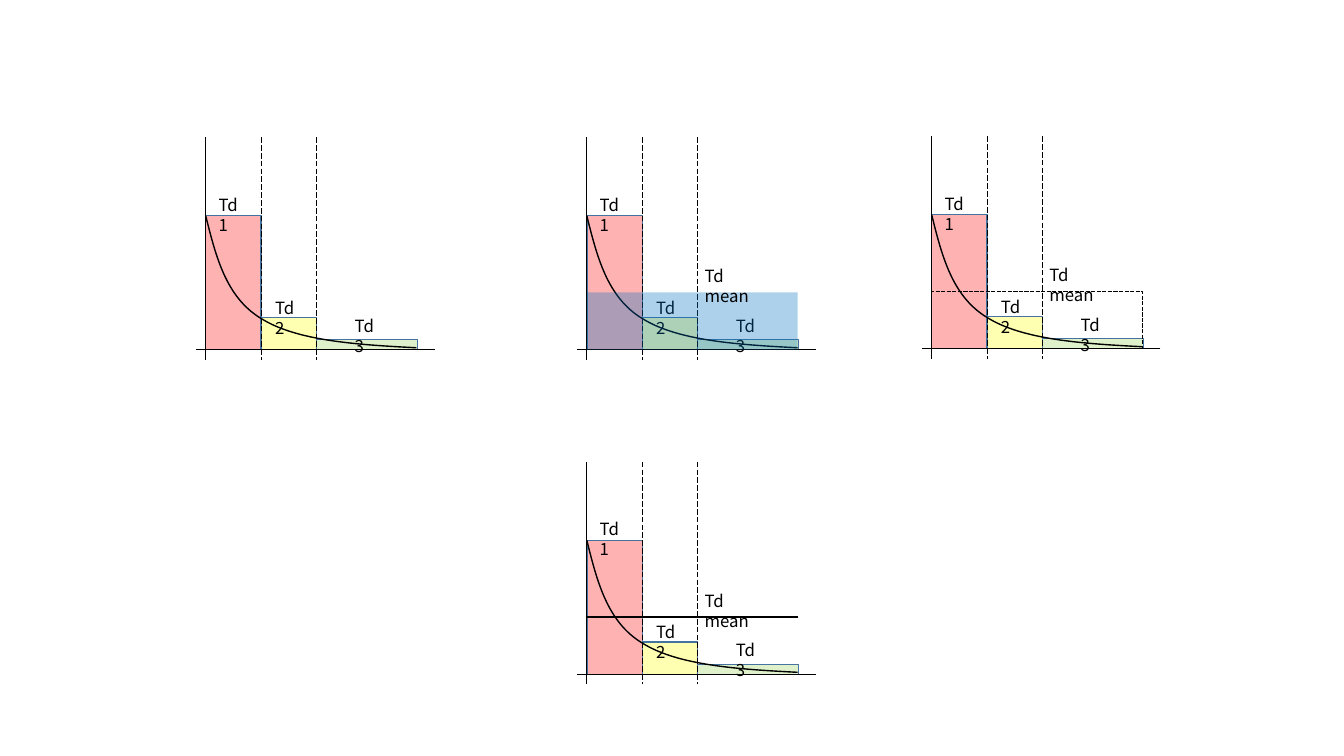
"""Draw four decay-curve panels with bars Td1 to Td3 and several views of their mean."""
from dataclasses import dataclass
from enum import Enum

from lxml import etree
from pptx import Presentation
from pptx.dml.color import RGBColor
from pptx.enum.dml import MSO_LINE
from pptx.enum.shapes import MSO_CONNECTOR, MSO_SHAPE
from pptx.enum.text import MSO_AUTO_SIZE
from pptx.oxml.ns import qn
from pptx.shapes.autoshape import Shape
from pptx.shapes.shapetree import GroupShapes
from pptx.util import Inches, Pt

RECTANGLE = MSO_SHAPE.RECTANGLE
STRAIGHT = MSO_CONNECTOR.STRAIGHT
LONG_DASH = MSO_LINE.LONG_DASH
SHORT_DASH = MSO_LINE.SQUARE_DOT
NO_AUTOFIT = MSO_AUTO_SIZE.NONE

BLACK = RGBColor(0x00, 0x00, 0x00)
WHITE = RGBColor(0xFF, 0xFF, 0xFF)
RED = RGBColor(0xFF, 0xB2, 0xB2)
YELLOW = RGBColor(0xFF, 0xFF, 0xB2)
GREEN = RGBColor(0xDE, 0xF1, 0xCA)
BLUE = RGBColor(0x00, 0x70, 0xC0)
BAR_EDGE = RGBColor(0x43, 0x73, 0x9E)

FONT = "Noto Sans CJK KR"
CURVE_WIDTH = 2.09
MEAN_HEIGHT = 0.57


class Mean(Enum):
    NONE = 0
    AREA = 1
    LINE = 2
    OUTLINE = 3


@dataclass(frozen=True)
class Panel:
    left: float
    base: float
    mean: Mean


@dataclass(frozen=True)
class Bar:
    start: float
    width: float
    height: float
    color: RGBColor


@dataclass(frozen=True)
class Label:
    text: str
    start: float
    rise: float
    width: float = 0.47


PANELS = (
    Panel(2.04, 3.47, Mean.NONE),
    Panel(5.82, 3.47, Mean.AREA),
    Panel(5.82, 6.69, Mean.LINE),
    Panel(9.24, 3.46, Mean.OUTLINE),
)
BARS = (
    Bar(0, 0.55, 1.33, RED),
    Bar(0.55, 0.55, 0.32, YELLOW),
    Bar(1.1, 1, 0.1, GREEN),
)
LABELS = (
    Label("Td1", 0.03, 1.59),
    Label("Td2", 0.59, 0.57),
    Label("Td3", 1.38, 0.39),
)
MEAN_LABEL = Label("Td mean", 1.07, 0.88, 0.86)
CURVE = ((0, 1.33), (0.1, 0.93), (0.2, 0.52), (0.55, 0.31),
         (0.9, 0.09), (1.49, 0.05), (CURVE_WIDTH, 0.02))


def add_box(shapes: GroupShapes, left: float, top: float, width: float, height: float,
            fill: RGBColor | None = None, alpha: int = 100) -> Shape:
    box = shapes.add_shape(RECTANGLE, Inches(left), Inches(top), Inches(width), Inches(height))
    box.shadow.inherit = False
    box.line.fill.background()
    if fill is None:
        box.fill.background()
        return box
    box.fill.solid()
    box.fill.fore_color.rgb = fill
    if alpha < 100:
        color = box._element.spPr.find(qn("a:solidFill")).find(qn("a:srgbClr"))
        etree.SubElement(color, qn("a:alpha"), val=str(alpha * 1000))
    return box


def set_line(shape: Shape, color: RGBColor, width: float, dash: MSO_LINE | None = None) -> None:
    shape.line.color.rgb = color
    shape.line.width = Pt(width)
    if dash is not None:
        shape.line.dash_style = dash


def add_line(shapes: GroupShapes, start: tuple[float, float], end: tuple[float, float],
             width: float = 0.5, dash: MSO_LINE | None = None) -> None:
    line = shapes.add_connector(STRAIGHT, *map(Inches, start), *map(Inches, end))
    set_line(line, BLACK, width, dash)
    etree.SubElement(line._element.spPr, qn("a:effectLst"))


def add_label(shapes: GroupShapes, panel: Panel, label: Label, *, size: float = 12,
              font: str = FONT, color: RGBColor = BLACK) -> None:
    box = shapes.add_textbox(Inches(panel.left + label.start), Inches(panel.base - label.rise),
                             Inches(label.width), Inches(0.3))
    frame = box.text_frame
    frame.word_wrap = True
    frame.auto_size = NO_AUTOFIT
    span = frame.paragraphs[0].add_run()
    span.text = label.text
    span.font.size = Pt(size)
    span.font.name = font
    span.font.color.rgb = color


def add_curve(shapes: GroupShapes, panel: Panel) -> None:
    points = [(Inches(panel.left + x), Inches(panel.base - y)) for x, y in CURVE]
    builder = shapes.build_freeform(*points[0])
    builder.add_line_segments(points[1:], close=False)
    curve = builder.convert_to_shape()
    curve.shadow.inherit = False
    curve.fill.background()
    set_line(curve, BLACK, 1)
    outline = next(curve._element.iter(qn("a:path")))
    segments = outline.findall(qn("a:lnTo"))
    for first in range(0, len(segments), 3):
        bend = etree.SubElement(outline, qn("a:cubicBezTo"))
        for segment in segments[first:first + 3]:
            bend.append(segment[0])
            outline.remove(segment)


def add_mean(shapes: GroupShapes, panel: Panel) -> None:
    if panel.mean is Mean.NONE:
        return
    top = panel.base - MEAN_HEIGHT
    if panel.mean is Mean.LINE:
        add_line(shapes, (panel.left + CURVE_WIDTH, top), (panel.left, top), 1.5)
    elif panel.mean is Mean.AREA:
        add_box(shapes, panel.left, top, CURVE_WIDTH, MEAN_HEIGHT, BLUE, 32)
    else:
        outline = add_box(shapes, panel.left, top, CURVE_WIDTH, MEAN_HEIGHT)
        set_line(outline, BLACK, 1, SHORT_DASH)
    add_label(shapes, panel, MEAN_LABEL)


def add_panel(shapes: GroupShapes, panel: Panel) -> None:
    left, base = panel.left, panel.base
    if panel.mean is Mean.AREA:
        add_box(shapes, left - 0.35, base - 2.65, 3.05, 2.84, WHITE)
    for bar in BARS:
        box = add_box(shapes, left + bar.start, base - bar.height, bar.width, bar.height, bar.color)
        set_line(box, BAR_EDGE, 1)
    add_line(shapes, (left + 2.27, base), (left - 0.1, base))
    for bar in BARS:
        x = left + bar.start
        add_line(shapes, (x, base - 2.11), (x, base + 0.1), dash=LONG_DASH if bar.start else None)
    add_curve(shapes, panel)
    for label in LABELS:
        add_label(shapes, panel, label)
    add_mean(shapes, panel)


def main() -> None:
    deck = Presentation()
    deck.slide_width = Inches(13.33)
    deck.slide_height = Inches(7.5)
    page = deck.slides.add_slide(deck.slide_layouts[6])
    for panel in PANELS:
        add_panel(page.shapes.add_group_shape().shapes, panel)
    deck.save("out.pptx")


if __name__ == "__main__":
    main()
